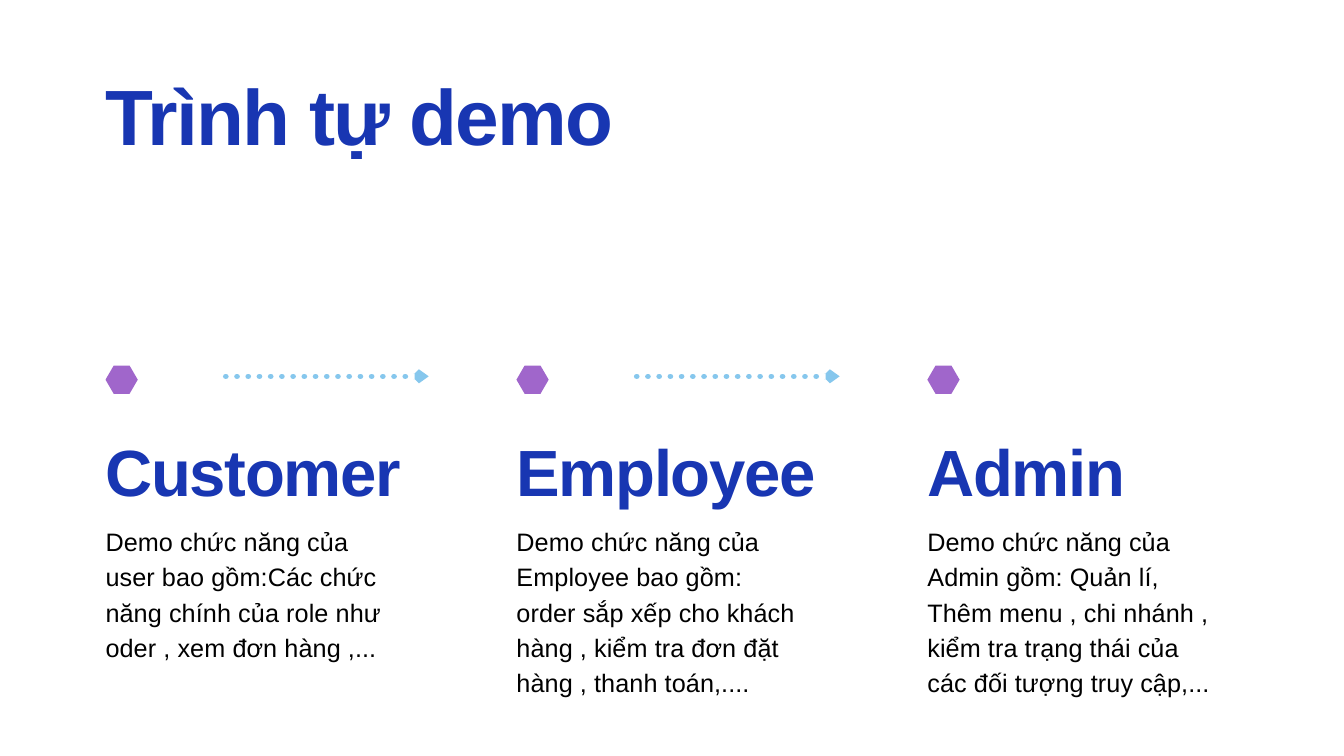
import pptx
import pptx.util
import pptx.dml.color
import pptx.enum.dml
import pptx.enum.shapes
import pptx.enum.text
import pptx.oxml
import pptx.oxml.ns

TITLE = "Trình tự demo"
STEPS = [
    ("Customer", "Demo chức năng của user bao gồm:Các chức năng chính của role như oder , xem đơn hàng ,...", 481, 212),
    ("Employee", "Demo chức năng của Employee bao gồm: order sắp xếp cho khách hàng , kiểm tra đơn đặt hàng , thanh toán,....", 480, 264),
    ("Admin", "Demo chức năng của Admin gồm: Quản lí, Thêm menu , chi nhánh , kiểm tra trạng thái của các đối tượng truy cập,...", 428, 264),
]

THEME = {
    "font": "Arial",
    "marker": "A066CB",
    "arrow": "86C7ED",
    "arrow_width": 6,
    "title": {"size": 84, "leading": 117.6, "bold": True, "color": "1836B2", "tracking": -170},
    "heading": {"size": 70, "leading": 98, "bold": True, "color": "1836B2", "tracking": -140},
    "body": {"size": 27, "leading": 37.8, "bold": False, "color": "000000", "tracking": 10},
}

PX = 9144
LEFT, PITCH = 157, 611.5
HEADING_TOP, BODY_TOP, BODY_WIDTH = 622, 776, 428
MARKER_TOP, MARKER_WIDTH, MARKER_HEIGHT = 544, 48, 42
ARROW_Y, ARROW_OFFSET, ARROW_LENGTH = 560, 179, 302


def px(*lengths):
    return [round(length * PX) for length in lengths]


def rgb(value):
    return pptx.dml.color.RGBColor.from_string(value)


def assign(target, values):
    for name, value in values.items():
        setattr(target, name, value)


def add_text(page, text, style_name, *place):
    style = THEME[style_name]
    frame = page.shapes.add_textbox(*px(*place)).text_frame
    assign(frame, {
        "margin_left": 0, "margin_right": 0, "margin_top": 0, "margin_bottom": 0,
        "word_wrap": True,
        "auto_size": pptx.enum.text.MSO_AUTO_SIZE.SHAPE_TO_FIT_TEXT,
    })
    para = frame.paragraphs[0]
    para.line_spacing = pptx.util.Pt(style["leading"])
    span = para.add_run()
    span.text = text
    assign(span.font, {
        "name": THEME["font"],
        "size": pptx.util.Pt(style["size"]),
        "bold": style["bold"],
    })
    span.font.color.rgb = rgb(style["color"])
    span.font._element.set("spc", str(style["tracking"]))


def add_marker(page, left):
    marker = page.shapes.add_shape(
        pptx.enum.shapes.MSO_SHAPE.HEXAGON,
        *px(left, MARKER_TOP, MARKER_WIDTH, MARKER_HEIGHT))
    marker.adjustments[0] = 0.29
    marker.shadow.inherit = False
    marker.fill.solid()
    marker.fill.fore_color.rgb = rgb(THEME["marker"])
    marker.line.fill.background()


def add_arrow(page, start):
    arrow = page.shapes.add_connector(
        pptx.enum.shapes.MSO_CONNECTOR.STRAIGHT,
        *px(start, ARROW_Y, start + ARROW_LENGTH, ARROW_Y))
    assign(arrow.line, {
        "width": pptx.util.Pt(THEME["arrow_width"]),
        "dash_style": pptx.enum.dml.MSO_LINE.ROUND_DOT,
    })
    arrow.line.color.rgb = rgb(THEME["arrow"])
    properties = arrow._element.spPr
    outline = properties.find(pptx.oxml.ns.qn("a:ln"))
    outline.set("cap", "rnd")
    namespace = pptx.oxml.ns.nsdecls("a")
    outline.append(pptx.oxml.parse_xml(f'<a:tailEnd {namespace} type="arrow" w="sm" len="sm"/>'))
    properties.append(pptx.oxml.parse_xml(f"<a:effectLst {namespace}/>"))


def main():
    deck = pptx.Presentation()
    deck.slide_width, deck.slide_height = px(2000, 1125)
    page = deck.slides.add_slide(deck.slide_layouts[6])

    add_text(page, TITLE, "title", LEFT, 77, 1091, 175)
    for index, (heading, body, heading_width, body_height) in enumerate(STEPS):
        left = LEFT + index * PITCH
        add_text(page, heading, "heading", left, HEADING_TOP, heading_width, 145)
        add_text(page, body, "body", left, BODY_TOP, BODY_WIDTH, body_height)
        add_marker(page, left)
        if index < len(STEPS) - 1:
            add_arrow(page, left + ARROW_OFFSET)

    deck.save("out.pptx")


if __name__ == "__main__":
    main()
